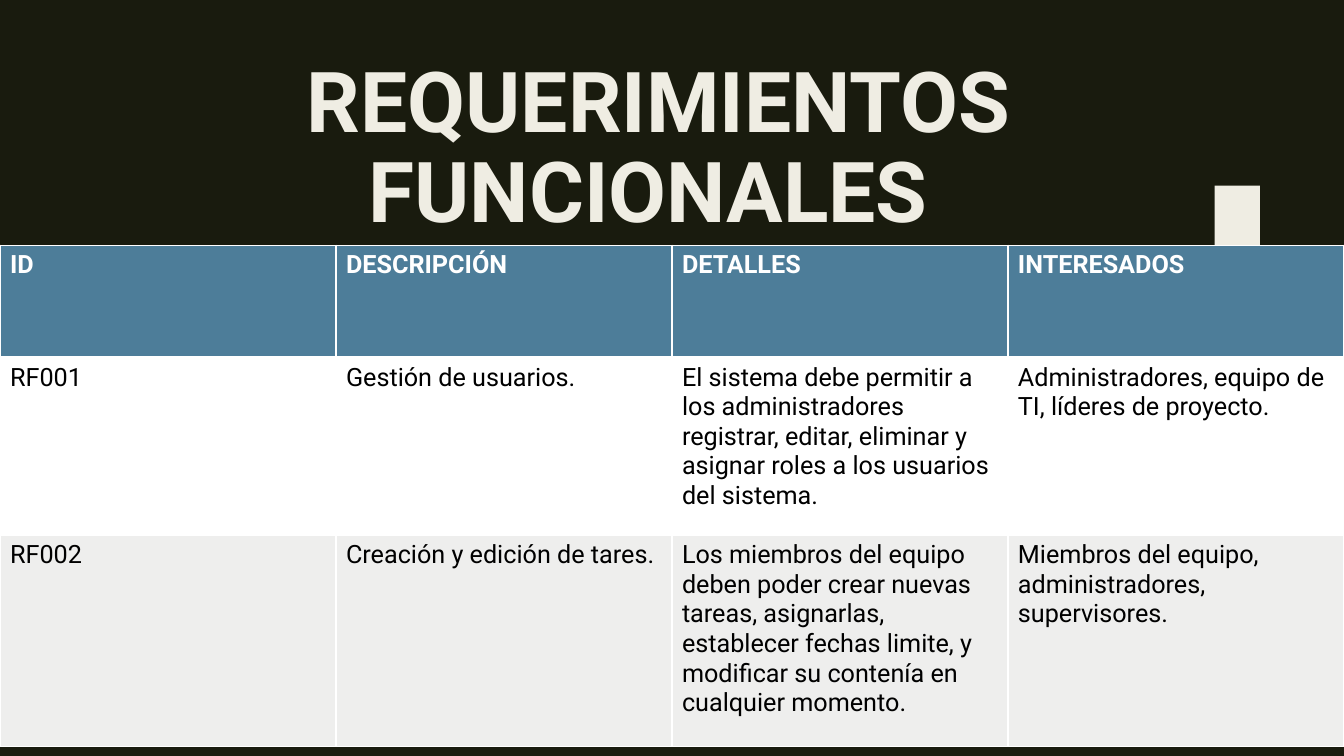
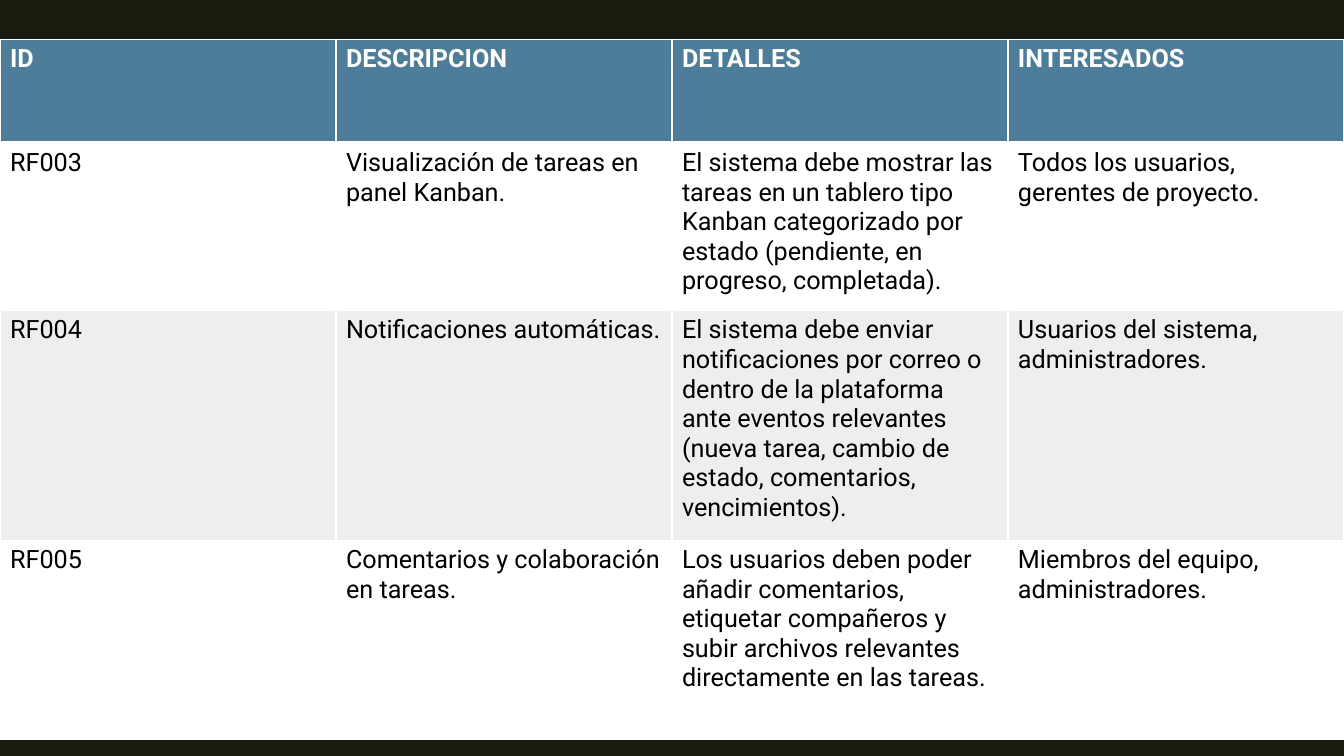
from lxml import etree
from pptx import Presentation
from pptx.dml.color import RGBColor
from pptx.enum import text
from pptx.oxml import ns
from pptx.util import Pt

# Shared style
FONT = "Roboto"
COLORS = {
    "background": "191B0E",
    "cream": "EFEDE3",
    "header": "4D7D99",
    "white": "FFFFFF",
    "band": "EEEEED",
    "ink": "000000",
}
SLIDE_W, SLIDE_H = 960, 540
TITLE_BOX = (95, 23.2, 751, 152)
BRACKET = [(867.6, 132.7), (900, 132.7), (900, 479.5), (642.2, 479.5),
           (642.2, 450), (867.6, 450)]

# Content
SLIDES = [
    {
        "title": "REQUERIMIENTOS FUNCIONALES ",
        "top": 175.2,
        "heights": [80.4, 126.9, 150.6],
        "rows": [
            ("ID", "DESCRIPCIÓN", "DETALLES", "INTERESADOS"),
            ("RF001", "Gestión de usuarios.",
             "El sistema debe permitir a los administradores registrar, editar, "
             "eliminar y asignar roles a los usuarios del sistema.",
             "Administradores, equipo de TI, líderes de proyecto."),
            ("RF002", "Creación y edición de tares.",
             "Los miembros del equipo deben poder crear nuevas tareas, asignarlas, "
             "establecer fechas limite, y modificar su contenía en cualquier momento.",
             "Miembros del equipo, administradores, supervisores."),
        ],
    },
    {
        "title": None,
        "top": 28.1,
        "heights": [74.1, 119.6, 164.2, 142.2],
        "rows": [
            ("ID", "DESCRIPCION", "DETALLES", "INTERESADOS"),
            ("RF003", "Visualización de tareas en panel Kanban.",
             "El sistema debe mostrar las tareas en un tablero tipo Kanban "
             "categorizado por estado (pendiente, en progreso, completada).",
             "Todos los usuarios, gerentes de proyecto."),
            ("RF004", "Notificaciones automáticas.",
             "El sistema debe enviar notificaciones por correo o dentro de la "
             "plataforma ante eventos relevantes (nueva tarea, cambio de estado, "
             "comentarios, vencimientos).",
             "Usuarios del sistema, administradores."),
            ("RF005", "Comentarios y colaboración en tareas.",
             "Los usuarios deben poder añadir comentarios, etiquetar compañeros y "
             "subir archivos relevantes directamente en las tareas.",
             "Miembros del equipo, administradores."),
        ],
    },
]


def paint(fill, color):
    fill.solid()
    fill.fore_color.rgb = RGBColor.from_string(COLORS[color])


def style_font(font, size, color, bold):
    font.name, font.size, font.bold = FONT, Pt(size), bold
    font.color.rgb = RGBColor.from_string(COLORS[color])


def set_borders(cell, bottom):
    """White borders; they must stand before the fill in the cell properties."""
    properties = cell._tc.get_or_add_tcPr()
    for index, (side, width) in enumerate(
            [("lnL", 1), ("lnR", 1), ("lnT", 1), ("lnB", bottom)]):
        line = etree.Element(ns.qn("a:" + side), w=str(Pt(width)))
        fill = etree.SubElement(line, ns.qn("a:solidFill"))
        etree.SubElement(fill, ns.qn("a:srgbClr"), val=COLORS["white"])
        properties.insert(index, line)


def add_master_bracket(slide, master):
    """Build the corner bracket on a slide, then move it to the master."""
    builder = slide.shapes.build_freeform(
        *(Pt(v) for v in BRACKET[0]), scale=1.0)
    builder.add_line_segments([(Pt(x), Pt(y)) for x, y in BRACKET[1:]], close=True)
    bracket = builder.convert_to_shape()
    bracket.shadow.inherit = False
    paint(bracket.fill, "cream")
    bracket.line.fill.background()
    bracket_id = max(shape.shape_id for shape in master.shapes) + 1
    bracket.element.nvSpPr.cNvPr.set("id", str(bracket_id))
    master.shapes.element.append(bracket.element)


def set_title(slide, wording):
    title = slide.shapes.title
    title.left, title.top, title.width, title.height = map(Pt, TITLE_BOX)
    frame = title.text_frame
    frame.text = wording
    frame.word_wrap = True
    frame.auto_size = text.MSO_AUTO_SIZE.NONE
    frame.vertical_anchor = text.MSO_ANCHOR.BOTTOM
    paragraph = frame.paragraphs[0]
    paragraph.alignment = text.PP_ALIGN.CENTER
    paragraph.line_spacing = 0.89
    style_font(paragraph.font, 60, "cream", True)


def add_requirements(slide, top, heights, rows):
    columns = len(rows[0])
    table = slide.shapes.add_table(
        len(rows), columns, 0, Pt(top), Pt(SLIDE_W), Pt(sum(heights))).table
    for column in table.columns:
        column.width = Pt(SLIDE_W / columns)
    for r, (height, row) in enumerate(zip(heights, rows)):
        table.rows[r].height = Pt(height)
        is_header = r == 0
        fill = "header" if is_header else "white" if r % 2 else "band"
        for c, wording in enumerate(row):
            cell = table.cell(r, c)
            cell.text = wording
            paint(cell.fill, fill)
            set_borders(cell, bottom=3 if is_header else 1)
            style_font(cell.text_frame.paragraphs[0].font, 18,
                       "white" if is_header else "ink", is_header)


def main():
    deck = Presentation()
    deck.slide_width, deck.slide_height = Pt(SLIDE_W), Pt(SLIDE_H)
    paint(deck.slide_master.background.fill, "background")
    title_only, blank = deck.slide_layouts[5], deck.slide_layouts[6]
    for content in SLIDES:
        slide = deck.slides.add_slide(title_only if content["title"] else blank)
        if content["title"]:
            set_title(slide, content["title"])
        add_requirements(slide, content["top"], content["heights"], content["rows"])
    add_master_bracket(deck.slides[0], deck.slide_master)
    deck.save("out.pptx")


if __name__ == "__main__":
    main()
